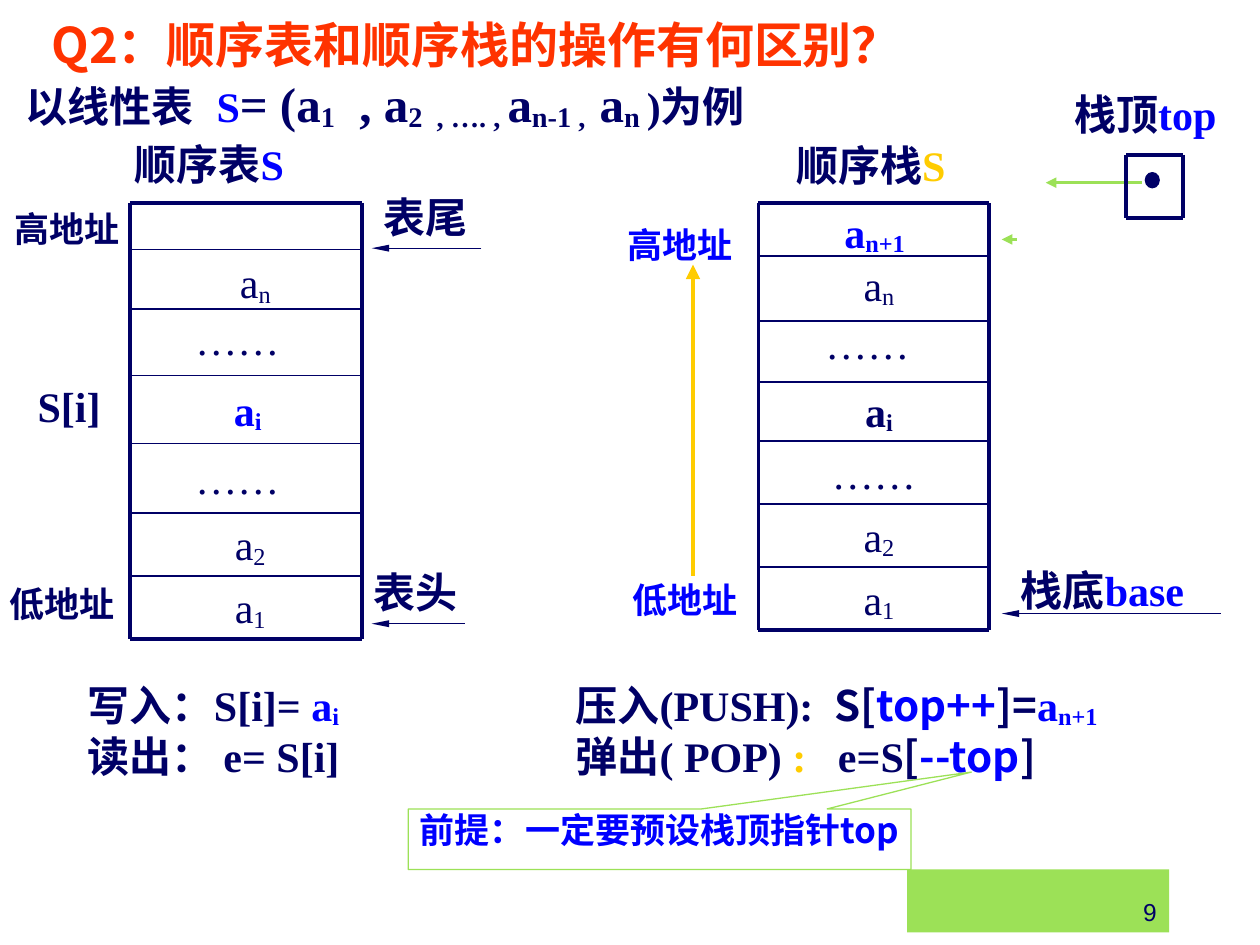
from collections import namedtuple
from lxml.etree import SubElement as Sub
from pptx import Presentation
from pptx.dml.color import RGBColor as Rgb
from pptx.enum.shapes import MSO_CONNECTOR as Conn, MSO_SHAPE as Form
from pptx.enum.text import MSO_ANCHOR as Anchor, PP_ALIGN as Align
from pptx.oxml.ns import qn
from pptx.util import Inches, Pt

COLS, ROWS = 100, 75
INK = {"navy": "000066", "blue": "0000FF", "gold": "FFCC00",
       "red": "FF3300", "lime": "9CE157", "white": "FFFFFF"}
SERIF, SANS, PLAIN = "Times New Roman", "Noto Sans CJK SC", "Arial"

Run = namedtuple("Run", "text ink low face size bold gap",
                 defaults=("navy", 0, SERIF, 24, True, 0))


class Board:
    def __init__(self):
        self.deck = Presentation()
        self.deck.slide_width, self.deck.slide_height = Inches(10), Inches(7.5)
        self.slide = self.deck.slides.add_slide(self.deck.slide_layouts[6])

    def spot(self, *cells):
        units = (self.deck.slide_width / COLS, self.deck.slide_height / ROWS)
        return [round(cell * units[i % 2]) for i, cell in enumerate(cells)]

    def color(self, name):
        return Rgb.from_string(INK[name])

    def fill_text(self, frame, paras, align, anchor, pad):
        frame.word_wrap = True
        frame.vertical_anchor = anchor
        frame.margin_left = frame.margin_right = Inches(pad)
        frame.margin_top = frame.margin_bottom = Inches(pad / 2)
        for i, runs in enumerate(paras):
            para = frame.add_paragraph() if i else frame.paragraphs[0]
            para.alignment = align
            for item in runs:
                run = para.add_run()
                run.text = item.text
                font = run.font
                font.size, font.bold, font.name = Pt(item.size), item.bold, item.face
                font.color.rgb = self.color(item.ink)
                props = run._r.get_or_add_rPr()
                Sub(props, qn("a:ea")).set("typeface", SANS)
                if item.low:
                    props.set("baseline", str(-1000 * item.low))
                if item.gap:
                    props.set("spc", str(100 * item.gap))

    def text(self, box, *paras, align=Align.LEFT, anchor=Anchor.TOP, pad=0.1):
        frame = self.slide.shapes.add_textbox(*self.spot(*box)).text_frame
        self.fill_text(frame, paras, align, anchor, pad)

    def label(self, box, *runs):
        self.text(box, runs, align=Align.CENTER, anchor=Anchor.MIDDLE)

    def line(self, ends, ink="navy", width=1, head=None):
        link = self.slide.shapes.add_connector(Conn.STRAIGHT, *self.spot(*ends))
        link.line.color.rgb, link.line.width = self.color(ink), Pt(width)
        if head:
            tip = Sub(link.line._get_or_add_ln(), qn("a:tailEnd"))
            for key, value in zip(("type", "w", "len"), ("triangle", *head)):
                tip.set(key, value)
        Sub(link._element.spPr, qn("a:effectLst"))

    def shape(self, form, box, fill, edge=None):
        item = self.slide.shapes.add_shape(form, *self.spot(*box))
        item.shadow.inherit = False
        item.fill.solid()
        item.fill.fore_color.rgb = self.color(fill)
        if edge:
            item.line.color.rgb, item.line.width = self.color(edge), Pt(0.75)
        else:
            item.line.fill.background()
        return item

    def frame(self, left, top, right, base):
        for ends in ((left, top, right, top), (left, base, right, base),
                     (left, top, left, base), (right, top, right, base)):
            self.line(ends, width=2.25)

    def stack(self, left, right, rows, cells):
        self.frame(left, rows[0], right, rows[-1])
        for row in rows[1:-1]:
            self.line((left, row, right, row))
        for col, row, runs in cells:
            self.text((col, row, 18.3, 5), runs, align=Align.CENTER)


def term(sub, ink="navy", bold=False):
    return [Run(" a", ink, bold=bold), Run(sub, ink, 10, bold=bold)]


def main():
    board = Board()
    dots = [Run("……", bold=False)]
    slim, even = ("sm", "lg"), ("med", "med")

    board.text((3.1, 0.6, 86.9, 5.7),
               [Run("Q2：顺序表和顺序栈的操作有何区别？", "red", face=SANS, size=28)],
               anchor=Anchor.MIDDLE)
    big = Run("", size=28)
    low = big._replace(low=12)
    space = big._replace(text=" ", gap=7)
    board.text((2, 5.8, 64, 4.8), [
        Run("以线性表"), space, Run("S", "blue"),
        big._replace(text="= (a"), low._replace(text="1"),
        space, big._replace(text=", a"), low._replace(text="2"),
        low._replace(text=" ", gap=4), low._replace(text=", …. , "),
        big._replace(text="a"), low._replace(text="n-1 ,"),
        low._replace(text=" ", gap=4), big._replace(text="a"),
        low._replace(text="n "), Run(")为例")], pad=0)

    board.stack(10.3, 28.7, (16.1, 19.8, 24.5, 29.8, 35.2, 40.7, 45.7, 50.7), [
        (10.7, 19.9, term("n")), (9.7, 24.4, dots), (10.1, 30, term("i", "blue", True)),
        (9.7, 35.4, dots), (10.3, 40.7, term("2")), (10.3, 45.7, term("1"))])
    board.stack(60.2, 78.5, (16.1, 20.3, 25.5, 30.3, 35, 40, 45, 50), [
        (60.2, 20.1, term("n")), (59.7, 24.7, dots), (60.2, 30.1, term("i", bold=True)),
        (60.2, 35, dots), (60.2, 40, term("2")), (60.2, 45, term("1"))])
    board.text((65.2, 15.9, 9, 5.1), term("n+1", "blue", True))
    for col, row, name, ink in ((9.7, 10.5, "顺序表", "blue"), (62.2, 10.6, "顺序栈", "gold")):
        board.text((col, row, 18, 5), [Run(name), Run("S", ink)])

    for col, row, name, ink in ((0, 15.9, "高地址", "navy"), (-0.4, 45.7, "低地址", "navy"),
                                (48.6, 17.2, "高地址", "blue"), (49, 45.4, "低地址", "blue")):
        board.label((col, row, 10.7, 4.4), Run(name, ink, size=20))
    board.text((2, 29.7, 8, 5), [Run("S[i]")])
    board.line((55, 45.7, 55, 21), "gold", 2.75, even)

    board.label((27.8, 14.7, 12, 5), Run("表尾"))
    board.label((27, 44.5, 12, 5), Run("表头"))
    board.label((77.5, 44.3, 20, 5), Run("栈底"), Run("base", "blue"))
    board.label((82, 6.5, 17.8, 5), Run("栈顶"), Run("top", "blue"))
    for start, end, row in ((38.2, 29.5, 19.7), (36.9, 29.5, 49.5), (96.9, 79.5, 48.7)):
        board.line((start, row, end, row), width=0.75, head=slim)
    for start, end, row in ((80.7, 79.5, 19), (90.6, 83, 14.5)):
        board.line((start, row, end, row), "lime", 2, even)
    board.frame(89.4, 12.3, 93.9, 17.3)
    board.shape(Form.OVAL, (90.9, 13.7, 1.1, 1.2), "navy", "navy")

    board.text((6, 53.4, 28, 9.1),
               [Run("写入：S[i]= "), Run("a", "blue"), Run("i", "blue", 10)],
               [Run("读出： e= S[i]")])
    sans = Run("", face=SANS)
    board.text((44.7, 53.4, 48, 9.1),
               [Run("压入(PUSH):"), Run(" ", gap=6), sans._replace(text="S["),
                sans._replace(text="top++", ink="blue"), sans._replace(text="]="),
                Run("a", "blue"), Run("n+1", "blue", 10)],
               [Run("弹出( POP)"), Run(" :", "gold"), Run(" ", gap=12), Run("e=S"),
                sans._replace(text="["), sans._replace(text="--top", ink="blue"),
                sans._replace(text="]")])

    note = board.shape(Form.RECTANGULAR_CALLOUT, (32.4, 64.2, 39.9, 4.8), "white", "lime")
    note.adjustments[0], note.adjustments[1] = 0.62, -1.11
    board.fill_text(note.text_frame,
                    [[Run("前提：一定要预设栈顶指针top", "blue", face=SANS, size=20)]],
                    Align.CENTER, Anchor.TOP, 0)
    page = board.shape(Form.RECTANGLE, (72, 69, 20.8, 5), "lime")
    board.fill_text(page.text_frame, [[Run("9", face=PLAIN, size=14, bold=False)]],
                    Align.RIGHT, Anchor.BOTTOM, 0.1)
    board.deck.save("out.pptx")


if __name__ == "__main__":
    main()
